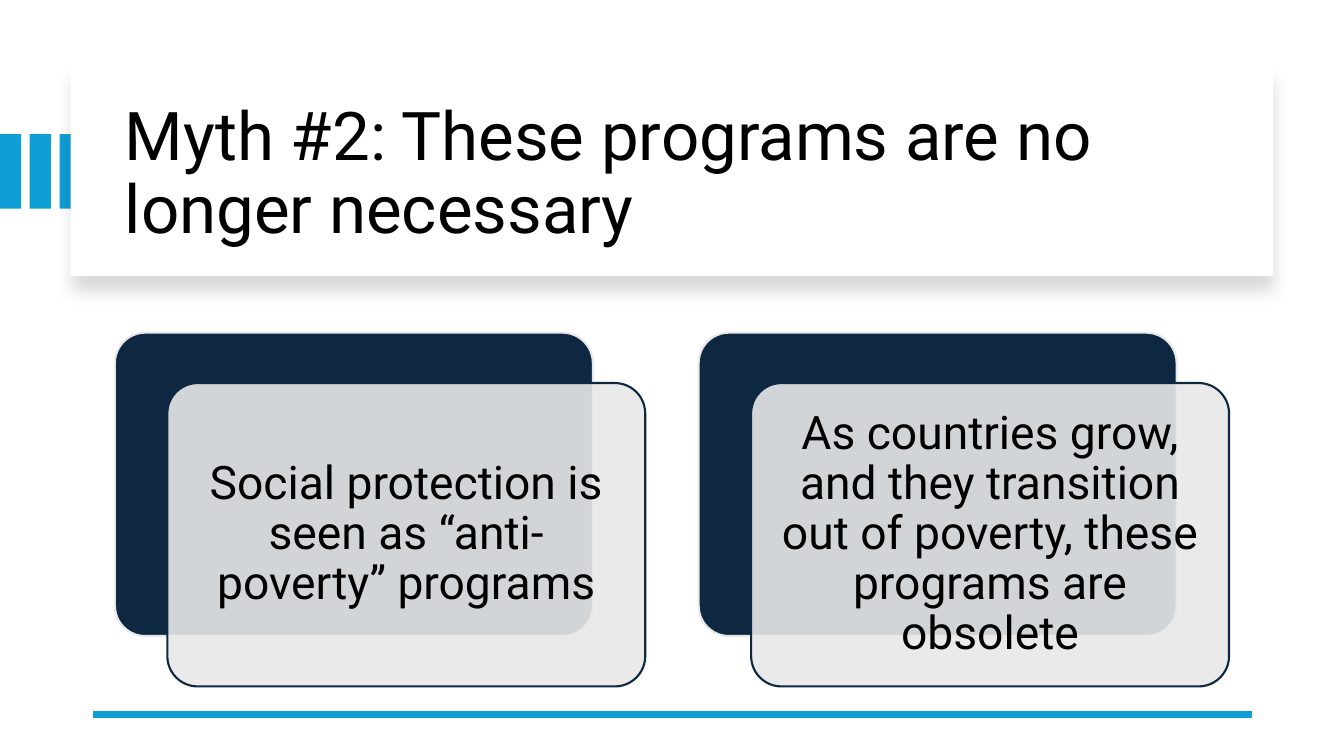
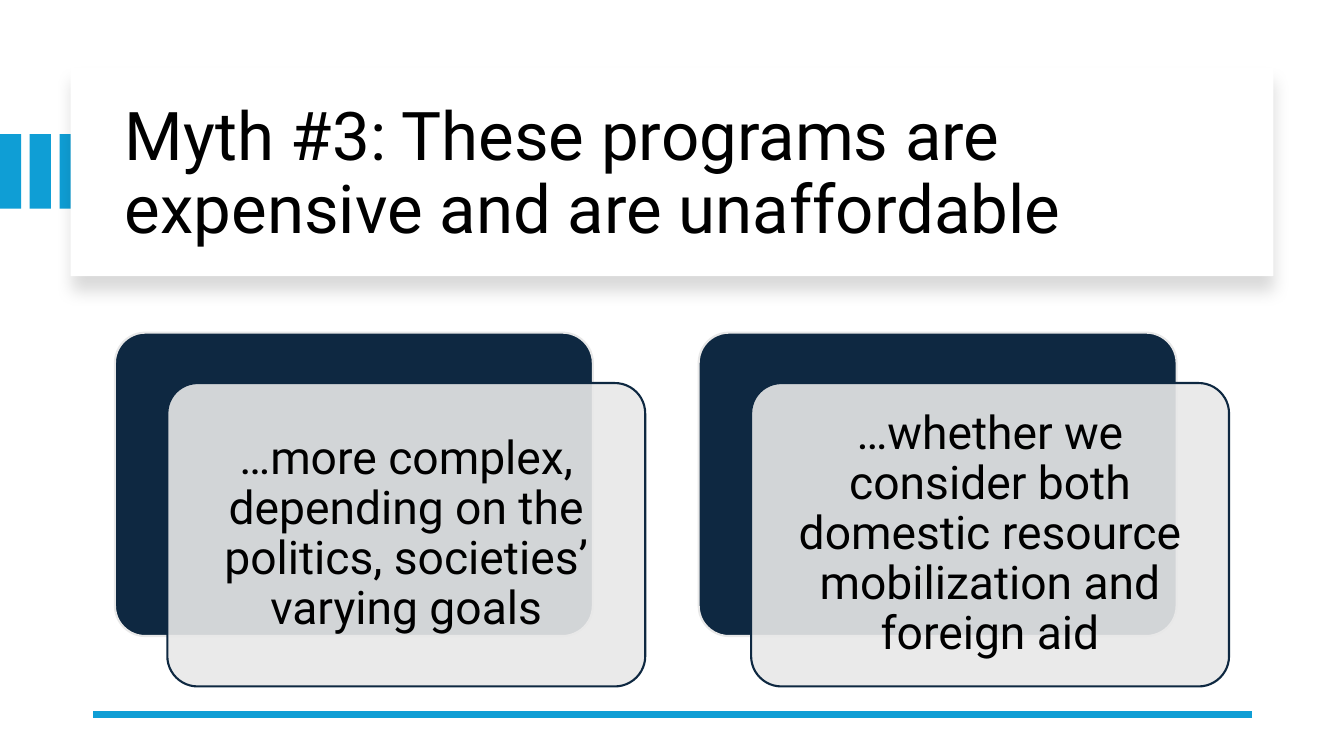
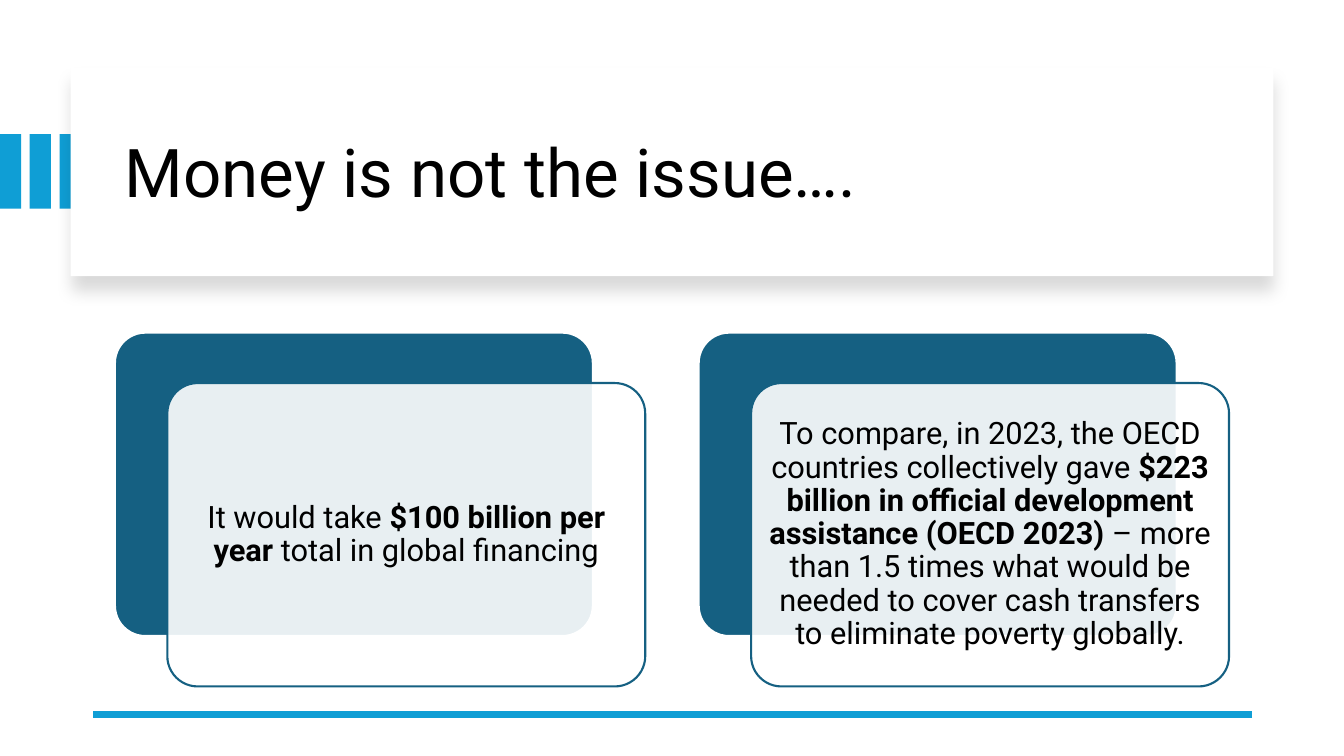
from dataclasses import dataclass

from lxml.etree import SubElement
from pptx import Presentation
from pptx.dml.color import RGBColor
from pptx.enum.shapes import MSO_CONNECTOR as Connector, MSO_SHAPE as Shape
from pptx.enum.text import MSO_ANCHOR as Anchor, PP_ALIGN as Align
from pptx.oxml.ns import qn
from pptx.util import Inches, Pt


@dataclass(frozen=True)
class Theme:
    font: str = "Roboto"
    title_size: int = 48
    statement_size: int = 33
    detail_size: int = 22
    text: str = "000000"
    accent: str = "0F9ED5"
    white: str = "FFFFFF"
    navy: str = "0E2841"
    grey: str = "E8E8E8"
    teal: str = "156082"


theme = Theme()


def add_block(slide, kind, box, fill, line=None):
    shape = slide.shapes.add_shape(kind, *map(Inches, box))
    shape.shadow.inherit = False
    shape.fill.solid()
    shape.fill.fore_color.rgb = RGBColor.from_string(fill)
    if line:
        shape.line.color.rgb = RGBColor.from_string(line)
        shape.line.width = Pt(1.5)
        shape.adjustments[0] = 0.1
    else:
        shape.line.fill.background()
    return shape


def write_text(shape, parts, size, align, margins):
    frame = shape.text_frame
    frame_format = {"word_wrap": True, "vertical_anchor": Anchor.MIDDLE}
    sides = ("left", "top", "right", "bottom")
    frame_format |= {f"margin_{side}": Inches(margin) for side, margin in zip(sides, margins)}
    for name, value in frame_format.items():
        setattr(frame, name, value)
    paragraph = frame.paragraphs[0]
    for name, value in {"alignment": align, "line_spacing": 0.9}.items():
        setattr(paragraph, name, value)
    for index, part in enumerate(parts):
        run = paragraph.add_run()
        run.text = part
        run_format = {"name": theme.font, "size": Pt(size), "bold": index % 2 == 1}
        for name, value in run_format.items():
            setattr(run.font, name, value)
        run.font.color.rgb = RGBColor.from_string(theme.text)


myth_style = {"dark": theme.navy, "light": theme.grey, "size": theme.statement_size, "margin": 0.14}
money_style = {"dark": theme.teal, "light": theme.white, "size": theme.detail_size, "margin": 0.09}

slides = [
    (
        "Myth #2: These programs are no longer necessary",
        myth_style,
        [
            ["Social protection is seen as “anti-poverty” programs"],
            ["As countries grow, and they transition out of poverty, these programs are obsolete"],
        ],
    ),
    (
        "Myth #3: These programs are expensive and are unaffordable",
        myth_style,
        [
            ["…more complex, depending on the politics, societies’ varying goals"],
            ["…whether we consider both domestic resource mobilization and foreign aid"],
        ],
    ),
    (
        "Money is not the issue….",
        money_style,
        [
            ["It would take ", "$100 billion per year", " total in global financing"],
            [
                "To compare, in 2023, the OECD countries collectively gave ",
                "$223 billion in official development assistance (OECD 2023)",
                " – more than 1.5 times what would be needed to cover cash transfers "
                "to eliminate poverty globally.",
            ],
        ],
    ),
]

card_left, card_top, card_width, card_height = 1.14, 3.3, 4.74, 3.01
card_pitch = 5.79
offset_x, offset_y = 0.52, 0.5
corner_inset = 0.09

presentation = Presentation()
presentation.slide_width = Inches(13.33)
presentation.slide_height = Inches(7.5)

for title, style, cards in slides:
    slide = presentation.slides.add_slide(presentation.slide_layouts[6])
    slide.background.fill.solid()
    slide.background.fill.fore_color.rgb = RGBColor.from_string(theme.white)

    for index in range(3):
        add_block(slide, Shape.RECTANGLE, (index * 0.295, 1.33, 0.21, 0.74), theme.accent)

    panel = add_block(slide, Shape.RECTANGLE, (0.7, 0.67, 11.93, 2.07), theme.white)
    effects = panel.element.spPr.find(qn("a:effectLst"))
    shadow = SubElement(
        effects,
        qn("a:outerShdw"),
        blurRad=str(Pt(11)),
        dist=str(Pt(10)),
        dir="5400000",
        algn="t",
        rotWithShape="0",
    )
    shadow_color = SubElement(shadow, qn("a:srgbClr"), val=theme.text)
    SubElement(shadow_color, qn("a:alpha"), val="15000")

    title_box = slide.shapes.add_textbox(*map(Inches, (1.14, 0.89, 11.13, 1.7)))
    write_text(title_box, [title], theme.title_size, Align.LEFT, (0.1, 0.05, 0.1, 0.05))

    rule_ends = map(Inches, (12.42, 7.09, 0.92, 7.09))
    rule = slide.shapes.add_connector(Connector.STRAIGHT, *rule_ends)
    rule.line.color.rgb = RGBColor.from_string(theme.accent)
    rule.line.width = Pt(4.5)
    SubElement(rule.element.spPr, qn("a:effectLst"))

    for index, parts in enumerate(cards):
        left = card_left + index * card_pitch
        back_box = (left, card_top, card_width, card_height)
        front_box = (left + offset_x, card_top + offset_y, card_width, card_height)
        add_block(slide, Shape.ROUNDED_RECTANGLE, back_box, style["dark"], style["light"])
        front = add_block(slide, Shape.ROUNDED_RECTANGLE, front_box, style["light"], style["dark"])
        fill_color = front.element.spPr.find(qn("a:solidFill")).find(qn("a:srgbClr"))
        SubElement(fill_color, qn("a:alpha"), val="90000")
        write_text(front, parts, style["size"], Align.CENTER, [style["margin"]] * 4)

presentation.save("out.pptx")
